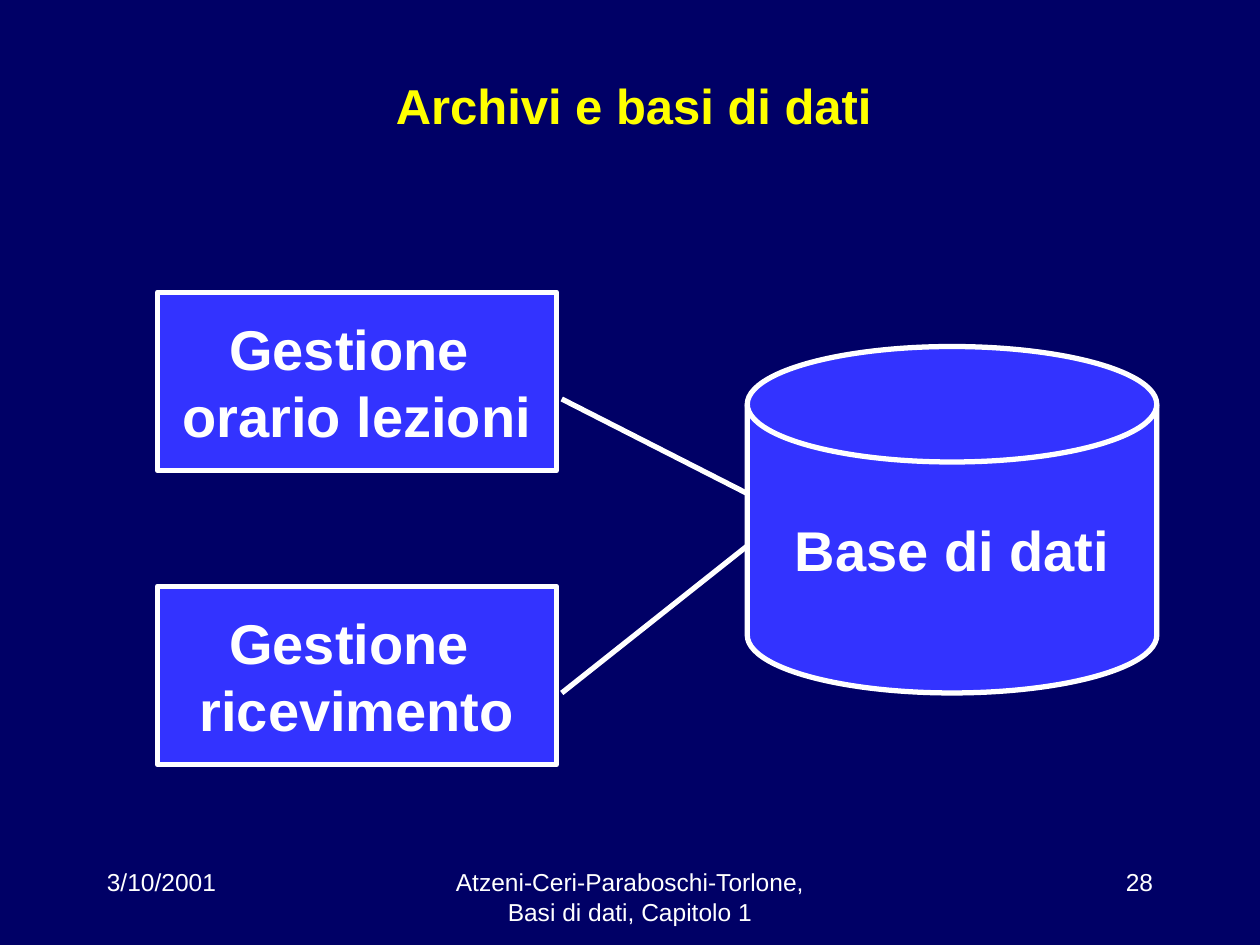
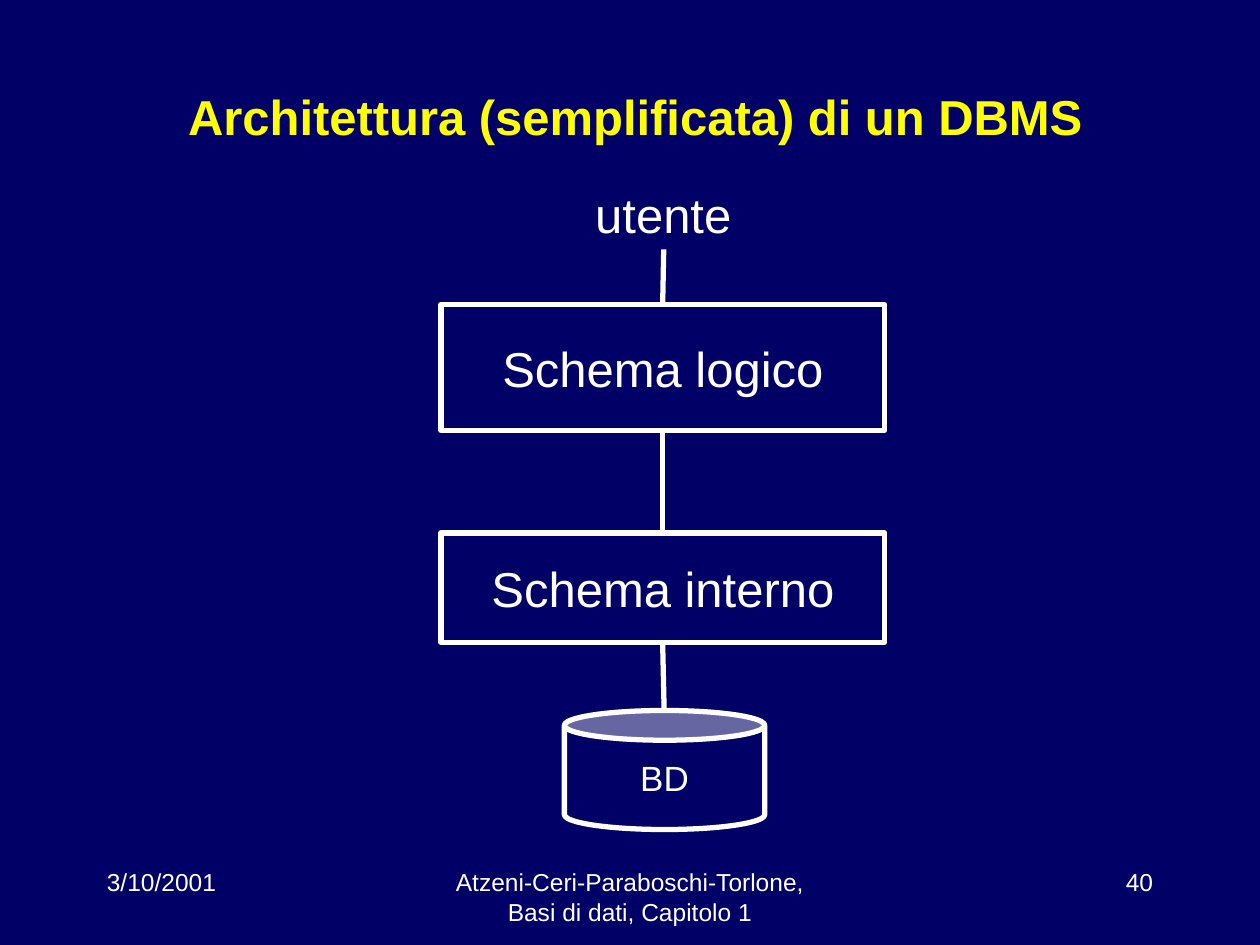
"""Build two slides on databases: shared archives and the layers of a DBMS."""
from lxml import etree
from pptx import Presentation
from pptx import util as u
from pptx.dml.color import RGBColor
from pptx.enum import shapes, text
from pptx.oxml.ns import qn

NAVY = RGBColor(0x00, 0x00, 0x66)
BLUE = RGBColor(0x33, 0x33, 0xFF)
WHITE = RGBColor(0xFF, 0xFF, 0xFF)
GOLD = RGBColor(0xFF, 0xFF, 0x00)
FORM = shapes.MSO_SHAPE
SIDE = text.PP_ALIGN
MID = text.MSO_ANCHOR.MIDDLE
TOP = text.MSO_ANCHOR.TOP

BODY = {"size": u.Pt(28), "name": "Arial", "bold": False}
HEAD = {**BODY, "bold": True}
BOLD = {**HEAD, "size": u.Pt(32)}
SMALL = {**BODY, "size": u.Pt(20)}
FOOT = {**BODY, "size": u.Pt(14)}


def points(*sizes):
    return [u.Pt(size) for size in sizes]


def write(shape, words, style, color=WHITE, align=SIDE.CENTER, anchor=MID, wrap=False, before=0):
    frame = shape.text_frame
    frame.word_wrap = wrap
    frame.vertical_anchor = anchor
    line = frame.paragraphs[0]
    line.text = words
    line.alignment = align
    line.space_before = u.Pt(before)
    for run in line.runs:
        for key, value in style.items():
            setattr(run.font, key, value)
        run.font.color.rgb = color


def label(slide, box, words, style, **format):
    write(slide.shapes.add_textbox(*points(*box)), words, style, **format)


def block(slide, form, box, words, style, fill=NAVY, before=0):
    shape = slide.shapes.add_shape(form, *points(*box))
    shape.shadow.inherit = False
    shape.fill.solid()
    shape.fill.fore_color.rgb = fill
    shape.line.color.rgb = WHITE
    shape.line.width = u.Pt(3)
    write(shape, words, style, before=before)


def link(slide, *ends):
    line = slide.shapes.add_connector(shapes.MSO_CONNECTOR.STRAIGHT, *points(*ends))
    line.line.color.rgb = WHITE
    line.line.width = u.Pt(3)
    etree.SubElement(line._element.spPr, qn("a:effectLst"))


def start(deck, title, box, number):
    slide = deck.slides.add_slide(deck.slide_layouts[6])
    slide.background.fill.solid()
    slide.background.fill.fore_color.rgb = NAVY
    label(slide, box, title, HEAD, color=GOLD, wrap=True)
    for left, width, words, align in (
        (54, 150, "3/10/2001", SIDE.LEFT),
        (246, 228, "Atzeni-Ceri-Paraboschi-Torlone, Basi di dati, Capitolo 1", SIDE.CENTER),
        (516, 150, number, SIDE.RIGHT),
    ):
        label(slide, (left, 492, width, 36), words, FOOT, align=align, anchor=TOP, wrap=True)
    return slide


def archives(deck):
    slide = start(deck, "Archivi e basi di dati ", (60, 18, 612, 84), "28")
    for top, words, end in ((167, "orario lezioni", 282), (335, "ricevimento", 312)):
        block(slide, FORM.RECTANGLE, (90, top, 228, 102), "Gestione \n" + words,
              BOLD, BLUE, before=8)
        link(slide, 321, top + 61, 427, end)
    block(slide, FORM.FLOWCHART_MAGNETIC_DISK, (427, 198, 234, 198), "Base di dati",
          BOLD, BLUE, before=8)


def layers(deck):
    slide = start(deck, "Architettura (semplificata) di un DBMS", (36, 0, 654, 132), "40")
    label(slide, (333, 102, 92, 41), "utente", BODY, anchor=TOP)
    block(slide, FORM.RECTANGLE, (252, 174, 253.5, 72), "Schema logico", BODY)
    block(slide, FORM.RECTANGLE, (252, 304.5, 253.5, 62.5), "Schema interno", BODY)
    block(slide, FORM.CAN, (322.5, 406, 114.5, 68), "BD", SMALL)
    for ends in ((379.3, 142.5, 378.7, 173), (378.7, 247.5, 378.7, 303),
                 (378.7, 368.5, 379.5, 404.5)):
        link(slide, *ends)


def main():
    deck = Presentation()
    deck.slide_width, deck.slide_height = points(720, 540)
    archives(deck)
    layers(deck)
    deck.save("out.pptx")


main()
